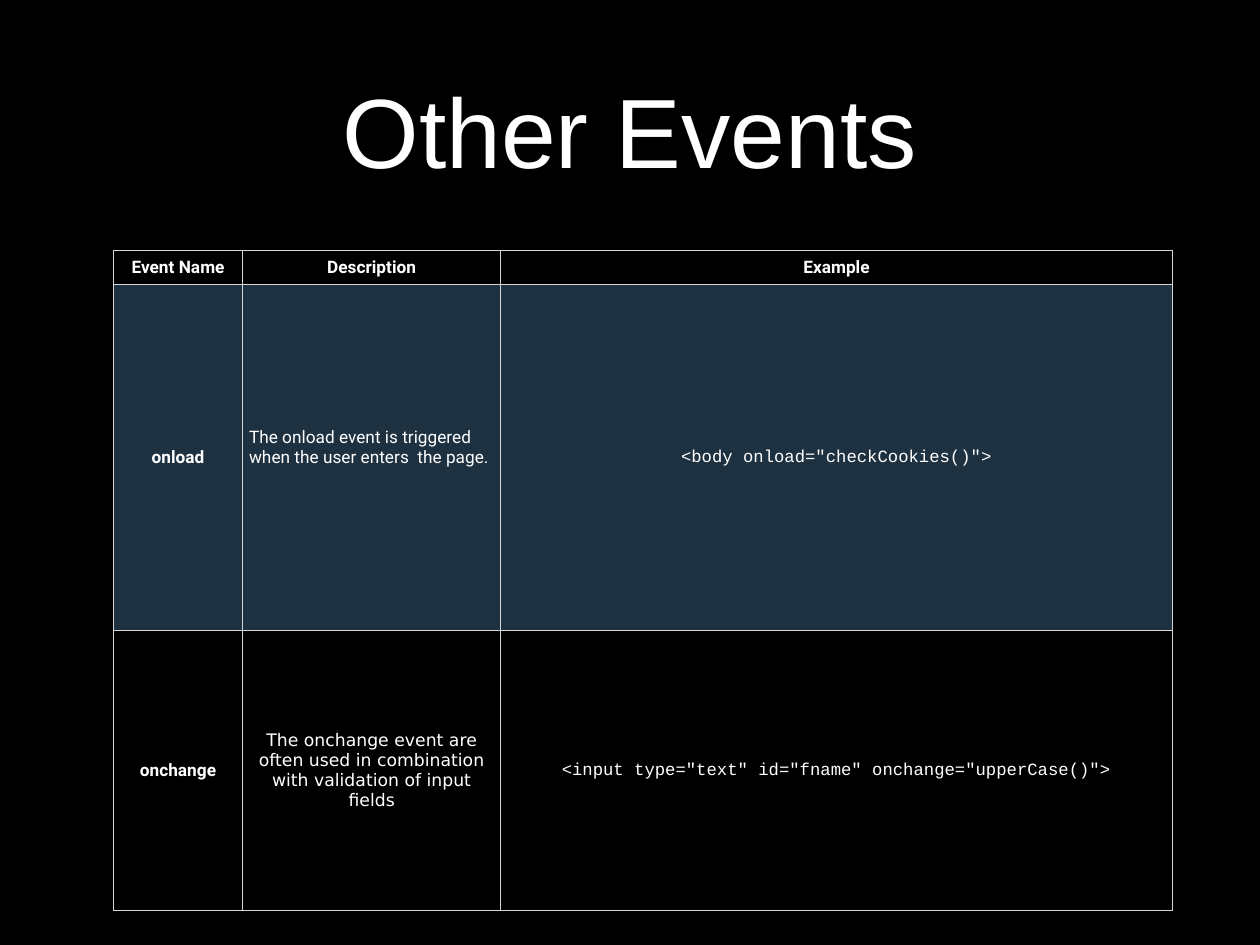
from dataclasses import dataclass

from lxml import etree
from pptx import Presentation
from pptx import util as u
from pptx.dml.color import RGBColor
from pptx.enum import text
from pptx.oxml.ns import qn


@dataclass(frozen=True)
class Theme:
    background: str = "000000"
    ink: str = "FFFFFF"
    border: str = "D6D6D6"
    band: str = "73C0FC"
    band_opacity: int = 26
    title_size: int = 80
    body_size: int = 14
    heading_font: str = "Arial"
    body_font: str = "Roboto"
    code_font: str = "Courier New"
    fallback_font: str = "DejaVu Sans"


THEME = Theme()
CENTER, LEFT = text.PP_ALIGN.CENTER, text.PP_ALIGN.LEFT
CELL_MARGIN = 0.18
LINE_HEIGHT = 0.58
COLUMN_SHARES = (1.46, 2.91, 7.58)
ROW_SHARES = (0.38, 3.91, 3.16)
HEADINGS = ("Event Name", "Description", "Example")
EVENTS = (
    ("onload",
     "The onload event is triggered when the user enters  the page.",
     '<body onload="checkCookies()">'),
    ("onchange",
     "The onchange event are often used in combination with validation of input fields",
     '<input type="text" id="fname" onchange="upperCase()">'),
)


def write(frame, words, font, size, bold=False, align=CENTER):
    paragraph = frame.paragraphs[0]
    paragraph.text = words
    paragraph.alignment = align
    paragraph.font.name = font
    paragraph.font.size = u.Pt(size)
    paragraph.font.bold = bold
    paragraph.font.color.rgb = RGBColor.from_string(THEME.ink)


def add_title(slide, words, left, top, width, height):
    shape = slide.shapes.add_textbox(u.Cm(left), u.Cm(top), u.Cm(width), u.Cm(height))
    frame = shape.text_frame
    frame.word_wrap = True
    frame.vertical_anchor = text.MSO_ANCHOR.MIDDLE
    frame.margin_left = frame.margin_right = frame.margin_top = frame.margin_bottom = 0
    write(frame, words, THEME.heading_font, THEME.title_size)


def draw_borders(cell):
    properties = cell._tc.get_or_add_tcPr()
    for side in ("a:lnL", "a:lnR", "a:lnT", "a:lnB"):
        line = etree.SubElement(properties, qn(side), w=str(u.Pt(0.75)))
        fill = etree.SubElement(line, qn("a:solidFill"))
        etree.SubElement(fill, qn("a:srgbClr"), val=THEME.border)


def fill_band(cell):
    """Tint the cell with the translucent band colour."""
    cell.fill.solid()
    cell.fill.fore_color.rgb = RGBColor.from_string(THEME.band)
    color = cell._tc.tcPr.find(qn("a:solidFill")).find(qn("a:srgbClr"))
    etree.SubElement(color, qn("a:alpha"), val=str(THEME.band_opacity * 1000))


def add_event_table(slide, left, top, width, height):
    rows = (HEADINGS, *EVENTS)
    table = slide.shapes.add_table(len(rows), len(HEADINGS), u.Cm(left), u.Cm(top),
                                   u.Cm(width), u.Cm(height)).table
    table.first_row = table.horz_banding = False
    for column, share in zip(table.columns, COLUMN_SHARES):
        column.width = u.Cm(width * share / sum(COLUMN_SHARES))
    for row, share in zip(table.rows, ROW_SHARES):
        row.height = u.Cm(height * share / sum(ROW_SHARES))

    for row_index, row in enumerate(rows):
        is_heading, is_band = row_index == 0, row_index == 1
        description_font = THEME.body_font if is_band else THEME.fallback_font
        row_fonts = (THEME.body_font, description_font, THEME.code_font)
        for column_index, words in enumerate(row):
            cell = table.cell(row_index, column_index)
            cell.margin_left = cell.margin_right = u.Cm(CELL_MARGIN)
            cell.margin_top = cell.margin_bottom = u.Cm(CELL_MARGIN)
            cell.vertical_anchor = (text.MSO_ANCHOR.TOP if is_heading
                                    else text.MSO_ANCHOR.MIDDLE)
            draw_borders(cell)
            if is_band:
                fill_band(cell)
            else:
                cell.fill.background()
            font = THEME.body_font if is_heading else row_fonts[column_index]
            raised = is_band and column_index == 1
            if raised:
                cell.margin_bottom = u.Cm(CELL_MARGIN + LINE_HEIGHT)
            write(cell.text_frame, words, font, THEME.body_size,
                  bold=is_heading or column_index == 0,
                  align=LEFT if raised else CENTER)


def main():
    presentation = Presentation()
    presentation.slide_width, presentation.slide_height = u.Cm(36.12), u.Cm(27.1)
    slide = presentation.slides.add_slide(presentation.slide_layouts[6])
    slide.background.fill.solid()
    slide.background.fill.fore_color.rgb = RGBColor.from_string(THEME.background)
    add_title(slide, "Other Events", 2.64, 0.58, 30.84, 6.22)
    add_event_table(slide, 3.25, 7.19, 30.36, 18.92)
    presentation.save("out.pptx")


if __name__ == "__main__":
    main()
